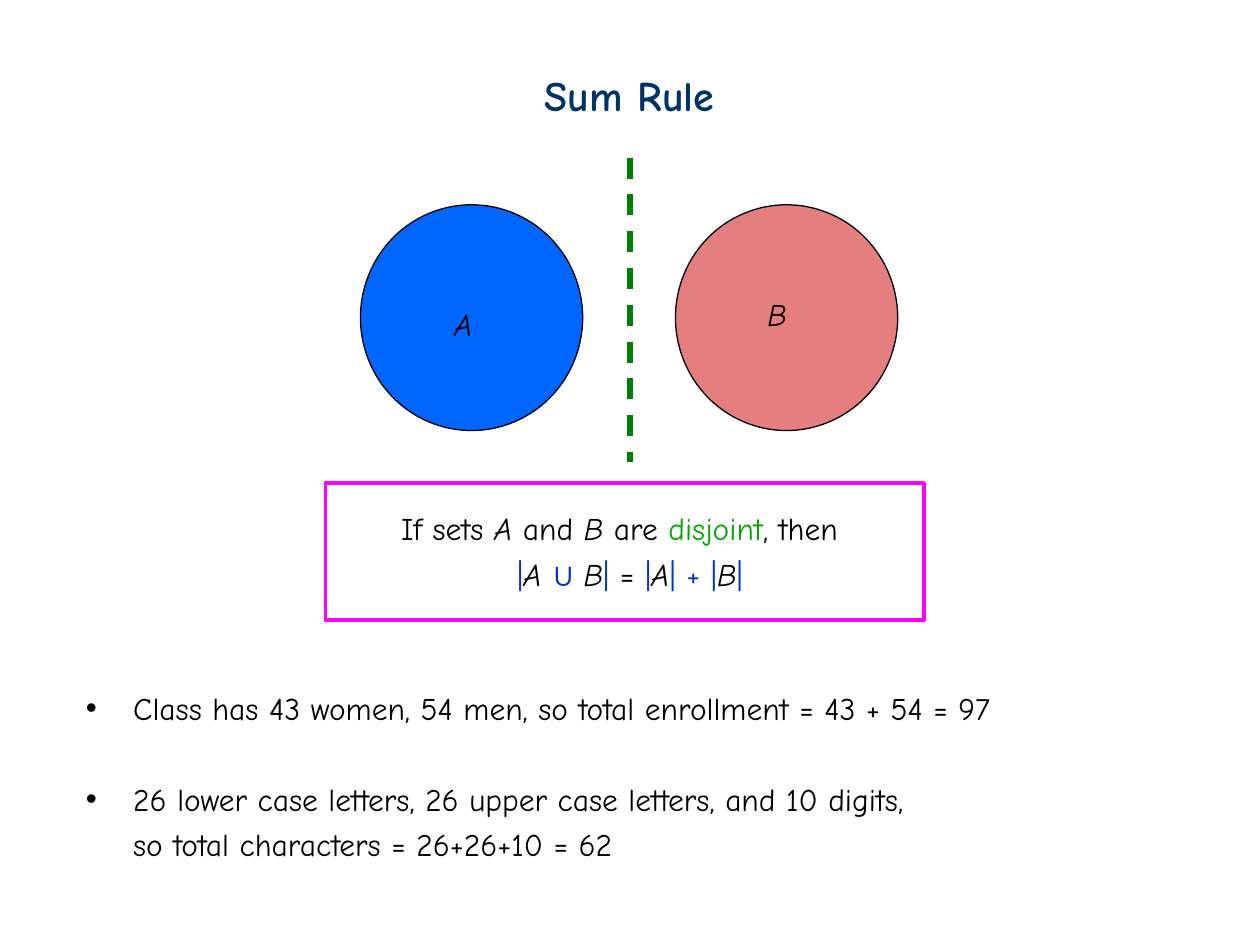
from lxml.etree import SubElement
from pptx import Presentation
from pptx.dml.color import RGBColor
from pptx.enum.dml import MSO_LINE
from pptx.enum.shapes import MSO_CONNECTOR, MSO_SHAPE
from pptx.enum.text import MSO_ANCHOR, PP_ALIGN
from pptx.oxml.ns import qn
from pptx.util import Pt

BLACK = RGBColor(0x00, 0x00, 0x00)
NAVY = RGBColor(0x00, 0x33, 0x66)
BLUE = RGBColor(0x00, 0x33, 0xCC)
SET_BLUE = RGBColor(0x00, 0x66, 0xFF)
SET_RED = RGBColor(0xCC, 0x00, 0x00)
LEAF = RGBColor(0x04, 0xA8, 0x04)
GREEN = RGBColor(0x00, 0x80, 0x00)
MAGENTA = RGBColor(0xFF, 0x00, 0xFF)
FONT = "Comic Neue"


def set_font(font, color=BLACK, size=18, italic=False, name=FONT):
    font.name = name
    font.size = Pt(size)
    font.italic = italic
    font.color.rgb = color


def add_text_box(left, top, width, height, wrap=True):
    box = page.shapes.add_textbox(Pt(left), Pt(top), Pt(width), Pt(height))
    box.text_frame.word_wrap = wrap
    return box.text_frame


deck = Presentation()
deck.slide_width, deck.slide_height = Pt(720), Pt(540)
page = deck.slides.add_slide(deck.slide_layouts[5])

title = page.shapes.title
title.left, title.top, title.width, title.height = Pt(304), Pt(36), Pt(111.5), Pt(36)
title.text_frame.text = "Sum Rule"
title.text_frame.word_wrap = False
title.text_frame.vertical_anchor = MSO_ANCHOR.TOP
heading = title.text_frame.paragraphs[0]
heading.alignment = PP_ALIGN.CENTER
set_font(heading.font, NAVY, 24)
heading.font.bold = True

# Two disjoint sets: name, circle left, fill, opacity, label left and top
for name, left, color, opacity, label_left, label_top in [
    ("A", 206, SET_BLUE, 100, 252.5, 170.5),
    ("B", 386, SET_RED, 50, 431.5, 165),
]:
    circle = page.shapes.add_shape(MSO_SHAPE.OVAL, Pt(left), Pt(117), Pt(127), Pt(129))
    circle.shadow.inherit = False
    circle.fill.solid()
    circle.fill.fore_color.rgb = color
    circle.line.color.rgb = BLACK
    circle.line.width = Pt(0.75)
    if opacity < 100:
        fill_color = circle.fill._xPr.find(qn("a:solidFill"))[0]
        SubElement(fill_color, qn("a:alpha"), val=str(opacity * 1000))
    label = add_text_box(label_left, label_top, 25, 29, wrap=False)
    label.text = name
    set_font(label.paragraphs[0].font, italic=True)

divider = page.shapes.add_connector(MSO_CONNECTOR.STRAIGHT, Pt(360), Pt(90), Pt(360), Pt(264))
divider.line.color.rgb = GREEN
divider.line.width = Pt(3)
divider.line.dash_style = MSO_LINE.DASH
SubElement(divider._element.spPr, qn("a:effectLst"))

frame = page.shapes.add_shape(MSO_SHAPE.RECTANGLE, Pt(186), Pt(276), Pt(342), Pt(78.5))
frame.shadow.inherit = False
frame.fill.background()
frame.line.color.rgb = MAGENTA
frame.line.width = Pt(2.25)

# Set names are italic; every other span has its own colour
rule_lines = [
    [("If sets ", BLACK), ("A", None), (" and ", BLACK), ("B", None),
     (" are ", BLACK), ("disjoint", LEAF), (", then ", BLACK)],
    [(" ", BLACK), ("|", BLUE), ("A ", None), ("∪ ", BLUE), ("B", None), ("|", BLUE),
     (" = ", BLACK), ("|", BLUE), ("A", None), ("| + |", BLUE), ("B", None), ("|", BLUE)],
]
rule = add_text_box(198, 287.5, 318, 55.5)
for index, spans in enumerate(rule_lines):
    para = rule.paragraphs[0] if index == 0 else rule.add_paragraph()
    para.alignment = PP_ALIGN.CENTER
    if index:
        para.space_before = Pt(4.5)
    for text, color in spans:
        span = para.add_run()
        span.text = text
        set_font(span.font, color or BLACK, italic=color is None,
                 name="Arial" if "∪" in text else FONT)

# Text, space before, bulleted
examples = [
    ("Class has 43 women, 54 men, so total enrollment = 43 + 54 = 97", 0, True),
    ("26 lower case letters, 26 upper case letters, and 10 digits,", 30.5, True),
    ("so total characters = 26+26+10 = 62", 4.5, False),
]
body = add_text_box(42, 390, 630, 114)
for index, (text, gap, bulleted) in enumerate(examples):
    para = body.paragraphs[0] if index == 0 else body.add_paragraph()
    para.text = text
    para.space_before = Pt(gap)
    properties = para._p.get_or_add_pPr()
    properties.set("marL", str(Pt(27)))
    if bulleted:
        properties.set("indent", str(Pt(-27)))
        SubElement(properties, qn("a:buFont"), typeface="Arial")
        SubElement(properties, qn("a:buChar"), char="•")
    set_font(para.font)

deck.save("out.pptx")
